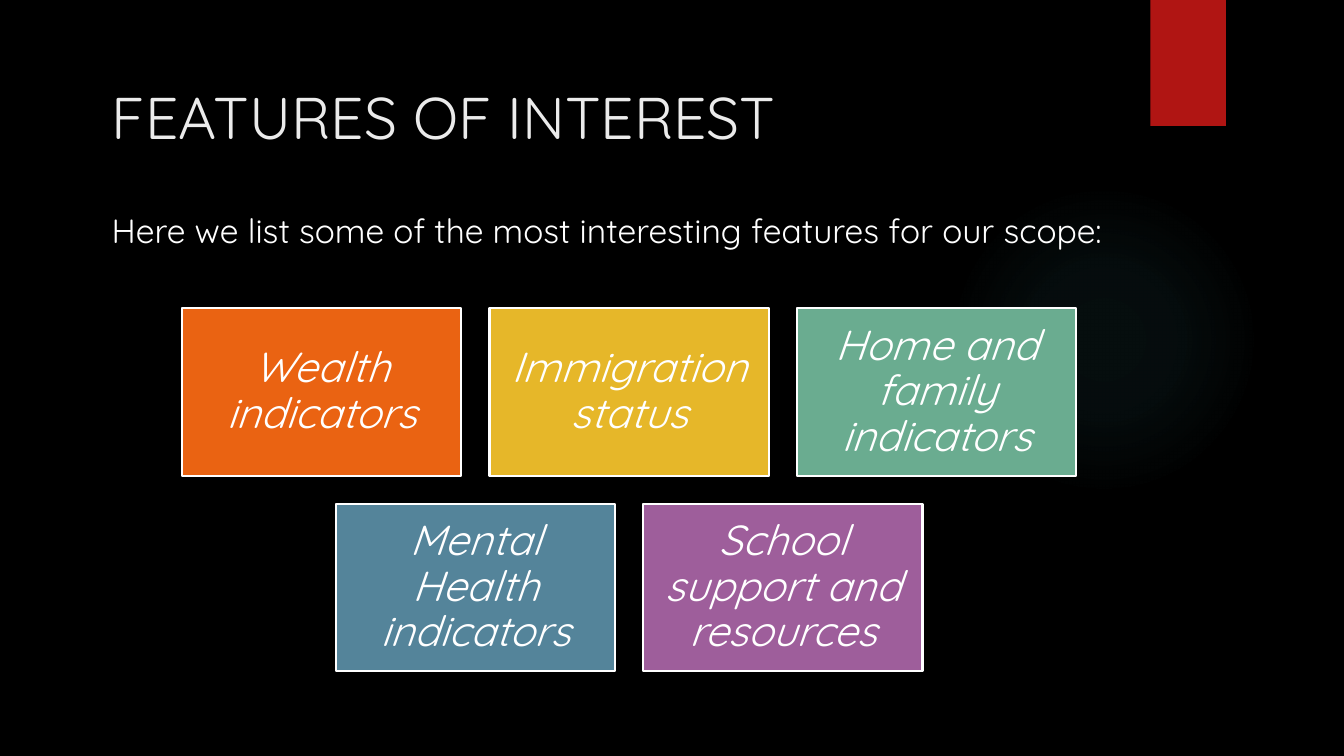
"""Build the slide on features of interest."""
from pptx import Presentation
from pptx.dml.color import RGBColor
from pptx.enum.shapes import MSO_SHAPE
from pptx.enum.text import MSO_ANCHOR, MSO_AUTO_SIZE, PP_ALIGN
from pptx.oxml import parse_xml
from pptx.oxml.ns import nsdecls
from pptx.util import Inches, Pt

FONT = "Quicksand"
HEX = {
    "black": "000000", "white": "FFFFFF", "title": "EBEBEB",
    "red": "B01513", "glow": "50B9C1", "orange": "EA6312",
    "yellow": "E6B729", "green": "6AAC90", "blue": "54849A",
    "purple": "9E5E9B",
}
ROWS = [
    [("Wealth indicators", "orange"), ("Immigration status", "yellow"),
     ("Home and family indicators", "green")],
    [("Mental Health indicators", "blue"),
     ("School support and resources", "purple")],
]
WIDTH, HEIGHT, GAP = 2.77, 1.66, 0.28
MIDDLE, TOP = 6.24, 3.06
GLOW = [(0, 7), (36, 6), (69, 0)]


def color(name):
    """Return the named colour."""
    return RGBColor.from_string(HEX[name])


def write(frame, text, size, tint):
    """Put one styled paragraph in a frame and return it."""
    frame.word_wrap = True
    frame.auto_size = MSO_AUTO_SIZE.NONE
    para = frame.paragraphs[0]
    para.text = text
    para.font.name = FONT
    para.font.size = Pt(size)
    para.font.color.rgb = color(tint)
    return para


def add_block(slide, kind, box, fill):
    """Add a flat, borderless shape."""
    block = slide.shapes.add_shape(kind, *map(Inches, box))
    block.shadow.inherit = False
    block.fill.solid()
    block.fill.fore_color.rgb = color(fill)
    block.line.fill.background()
    return block


def add_glow(slide):
    """Add the faint round glow at the right."""
    disc = add_block(slide, MSO_SHAPE.OVAL, (9.41, 1.83, 3.08, 3.08), "glow")
    stops = "".join(
        f'<a:gs pos="{pos * 1000}"><a:srgbClr val="{HEX["glow"]}">'
        f'<a:alpha val="{alpha * 1000}"/></a:srgbClr></a:gs>'
        for pos, alpha in GLOW)
    grad = parse_xml(
        f'<a:gradFill {nsdecls("a")}><a:gsLst>{stops}</a:gsLst>'
        '<a:path path="circle"><a:fillToRect l="50000" t="50000" '
        'r="50000" b="50000"/></a:path></a:gradFill>')
    props = disc.element.spPr
    props.replace(props.find(".//{*}solidFill"), grad)


def add_title(slide, text):
    """Place and fill the title."""
    title = slide.shapes.title
    title.left, title.top = Inches(1.01), Inches(0.75)
    title.width, title.height = Inches(10.29), Inches(1.53)
    title.text_frame.vertical_anchor = MSO_ANCHOR.TOP
    write(title.text_frame, text, 42, "title").alignment = PP_ALIGN.LEFT


def add_intro(slide, text):
    """Add the line that leads in to the cards."""
    box = slide.shapes.add_textbox(*map(Inches, (1.01, 2.03, 10.45, 0.5)))
    write(box.text_frame, text, 24, "white")


def add_card(slide, left, top, text, fill):
    """Add one coloured feature card."""
    card = add_block(slide, MSO_SHAPE.RECTANGLE,
                     (left, top, WIDTH, HEIGHT), fill)
    card.line.color.rgb = color("white")
    card.line.width = Pt(1.5)
    frame = card.text_frame
    frame.margin_left = frame.margin_right = Inches(0.12)
    frame.margin_top = frame.margin_bottom = Inches(0.12)
    frame.vertical_anchor = MSO_ANCHOR.MIDDLE
    para = write(frame, text, 30, "white")
    para.font.italic = True
    para.alignment = PP_ALIGN.CENTER
    para.line_spacing = 0.9


def add_cards(slide):
    """Lay out the cards in centred rows."""
    for row, cards in enumerate(ROWS):
        span = len(cards) * (WIDTH + GAP) - GAP
        for col, (text, fill) in enumerate(cards):
            left = MIDDLE - span / 2 + col * (WIDTH + GAP)
            add_card(slide, left, TOP + row * (HEIGHT + GAP), text, fill)


def main():
    """Build and save the slide."""
    deck = Presentation()
    deck.slide_width, deck.slide_height = Inches(13.33), Inches(7.5)
    slide = deck.slides.add_slide(deck.slide_layouts[5])
    slide.background.fill.solid()
    slide.background.fill.fore_color.rgb = color("black")
    add_glow(slide)
    add_block(slide, MSO_SHAPE.RECTANGLE, (11.41, 0, 0.75, 1.25), "red")
    add_title(slide, "FEATURES OF INTEREST")
    add_cards(slide)
    add_intro(slide, "Here we list some of the most interesting "
                     "features for our scope:")
    deck.save("out.pptx")


if __name__ == "__main__":
    main()
